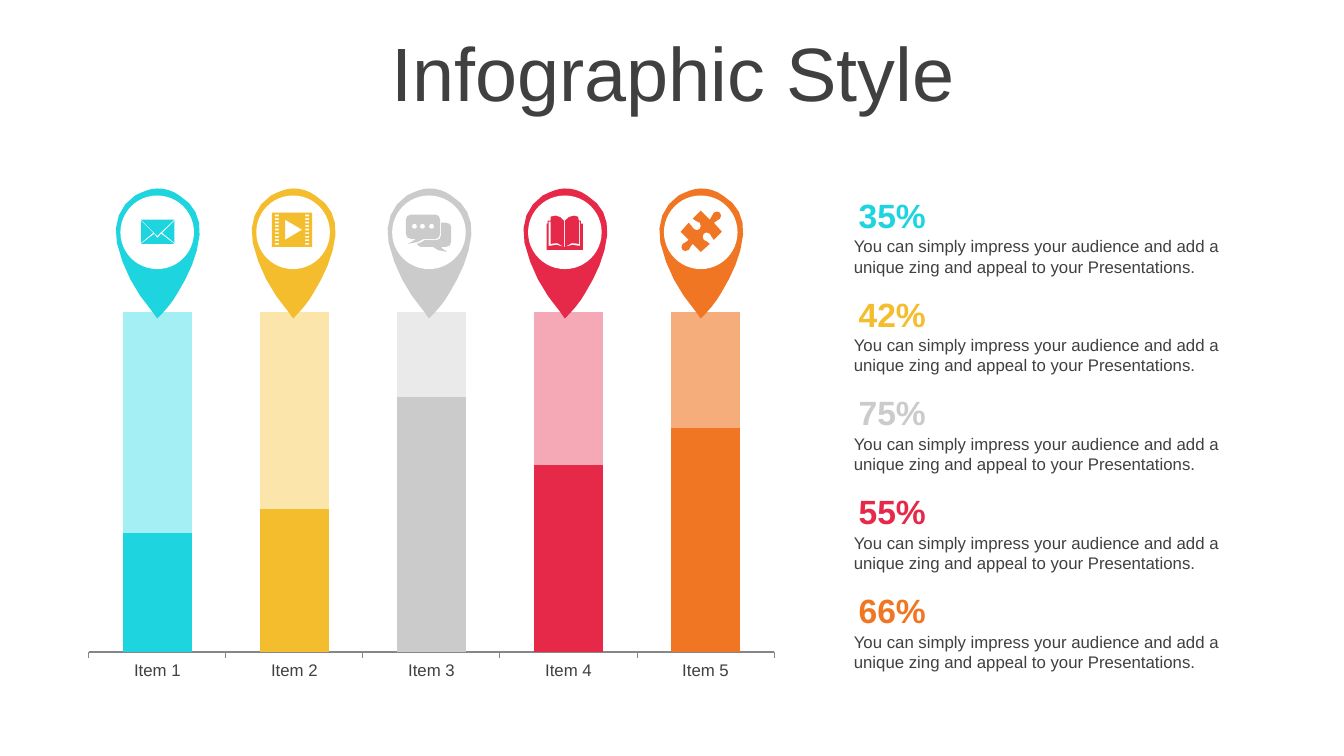
from dataclasses import dataclass
from typing import Iterator

from pptx import Presentation, util as u
from pptx.chart import data as chart_data
from pptx.dml import color
from pptx.enum import chart as charts, shapes, text
from pptx.slide import Slide

WIDTH, HEIGHT = u.Inches(13.33), u.Inches(7.5)
FONT = "Arial"
COLOURS = {
    "text": "404040", "axis": "868686", "white": "FFFFFF",
    "cyan": "1ED4DE", "cyan light": "A4EFF3",
    "yellow": "F4BD2D", "yellow light": "FBE5AB",
    "grey": "CBCBCB", "grey light": "EAEAEA",
    "red": "E62949", "red light": "F5A9B6",
    "orange": "F07624", "orange light": "F6AD7C",
}
DESCRIPTION = ("You can simply impress your audience and add a unique zing "
               "and appeal to your Presentations.")

# Outlines: hundredths of an inch, measured from the top centre of a pin
OUTLINE_UNIT = u.Inches(0.01)
FINENESS = 100  # freeform steps per outline unit
PIN_STEPS, ICON_STEPS = 4, 2  # straight pieces per curve
PIN = ("M 0 0 C 8 0 15 2 22 7 C 37 16 43 29 42 46 C 40 67 31 86 20 104 "
       "C 15 113 8 121 0 129 L -5 122 C -22 102 -34 80 -40 54 "
       "C -44 34 -37 17 -22 7 C -14 3 -7 0 0 0 Z")
ENVELOPE = ("M 4 45 L 17 55 L -16 55 L -3 45 L 0 49 Z M 17 32 L 17 54 L 5 44 Z "
            "M -16 32 L -4 44 L -16 54 Z M -16 31 L 17 31 L 0 47 Z")
BOOK = ("M -1 58 L 0 58 C 6 56 9 55 15 57 L 15 33 L 14 33 L 14 55 C 9 53 5 54 0 58 "
        "L 0 32 C 3 29 5 27 9 27 L 13 28 L 14 32 "
        "L 16 32 L 16 35 L 18 35 L 18 61 L -18 61 L -18 35 L -17 35 L -17 32 L -14 32 "
        "L -14 28 L -9 27 C -6 27 -3 29 -1 32 L -1 58 "
        "C -5 54 -10 53 -14 55 L -14 33 L -16 33 L -16 57 C -10 55 -6 56 -1 58 Z")
PUZZLE = ("M 19 24 C 20 26 21 28 19 30 C 17 33 15 31 13 34 L 21 43 L 13 51 "
          "C 10 49 11 46 9 45 C 7 43 4 43 3 45 C 2 46 1 49 3 51 C 6 53 6 52 9 55 "
          "L 0 63 L -8 55 C -11 57 -9 58 -12 61 C -14 63 -17 62 -18 61 "
          "C -19 60 -20 57 -18 55 C -16 53 -14 54 -12 51 L -20 43 L -12 34 "
          "C -8 36 -10 39 -7 40 C -5 42 -3 42 -1 40 C 0 39 1 36 -1 34 "
          "C -4 32 -5 33 -8 30 L 0 22 L 9 31 C 12 28 10 27 13 24 C 15 22 18 23 19 24 Z")
BUBBLES = ("M 12 34 L 17 34 C 20 34 22 36 22 38 L 22 53 C 22 56 20 58 17 58 L 12 58 "
           "C 13 59 13 60 18 63 C 9 62 8 61 4 58 L -8 58 C -9 58 -11 57 -12 55 "
           "C -9 54 -6 53 -4 51 L 8 51 C 10 51 12 49 12 46 Z "
           "M -18 26 L 7 26 C 9 26 11 28 11 31 L 11 45 C 11 48 9 50 7 50 L -5 50 "
           "C -10 53 -12 54 -21 55 C -16 52 -15 52 -13 50 L -18 50 "
           "C -21 50 -23 48 -23 45 L -23 31 C -23 28 -21 26 -18 26 Z")


def rectangle(left: float, top: float, right: float, bottom: float) -> str:
    return f"M {left} {top} L {right} {top} L {right} {bottom} L {left} {bottom} Z "


def dot(x: int) -> str:
    return (f"M {x} 35 C {x - 2} 35 {x - 3} 36 {x - 3} 38 C {x - 3} 39 {x - 2} 40 {x} 40 "
            f"C {x + 1} 40 {x + 2} 39 {x + 2} 38 C {x + 2} 36 {x + 1} 35 {x} 35 Z ")


CHAT = "".join(dot(x) for x in (3, -6, -14)) + BUBBLES
FILM = rectangle(-21, 24, 19, 58) + "M -8 31 L -8 51 L 9 41 Z " + "".join(
    rectangle(left, 26 + 3.5 * row, left + 4, 27.7 + 3.5 * row)
    for left in (-18, 12) for row in range(9))


@dataclass(frozen=True)
class Item:
    percent: int
    colour: str
    icon: str


ITEMS = [Item(35, "cyan", ENVELOPE), Item(42, "yellow", FILM), Item(75, "grey", CHAT),
         Item(55, "red", BOOK), Item(66, "orange", PUZZLE)]


@dataclass(frozen=True)
class Box:
    """A frame in percent of the slide's width and height."""
    left: float
    top: float
    width: float
    height: float

    def frame(self) -> tuple[int, int, int, int]:
        return (across(self.left), down(self.top), across(self.width), down(self.height))


def across(percent: float) -> int:
    return round(WIDTH * percent / 100)


def down(percent: float) -> int:
    return round(HEIGHT * percent / 100)


def rgb(name: str) -> color.RGBColor:
    return color.RGBColor.from_string(COLOURS[name])


def set_font(font, size: float, colour: str, bold: bool = False) -> None:
    font.name, font.size, font.bold = FONT, u.Pt(size), bold
    font.color.rgb = rgb(colour)


def paint(shape, colour: str) -> None:
    shape.shadow.inherit = False
    shape.fill.solid()
    shape.fill.fore_color.rgb = rgb(colour)
    shape.line.fill.background()


def contours(outline: str, steps: int) -> Iterator[list[tuple[float, float]]]:
    """Turn each closed contour into points, sampling its cubic curves."""
    for contour in outline.split("Z"):
        points: list[tuple[float, float]] = []
        for piece in contour.replace("C", "|").replace("L", "|").replace("M", "|").split("|"):
            numbers = [float(number) * FINENESS for number in piece.split()]
            pairs = list(zip(numbers[::2], numbers[1::2]))
            if len(pairs) == 3:
                knots = [points[-1], *pairs]
                for index in range(1, steps + 1):
                    t = index / steps
                    weights = ((1 - t) ** 3, 3 * t * (1 - t) ** 2, 3 * t * t * (1 - t), t ** 3)
                    points.append((sum(w * k[0] for w, k in zip(weights, knots)),
                                   sum(w * k[1] for w, k in zip(weights, knots))))
            else:
                points += pairs
        if points:
            yield points


def draw_outline(target, outline: str, steps: int, x: int, y: int, colour: str) -> None:
    first, *others = contours(outline, steps)
    builder = target.build_freeform(*first[0], scale=OUTLINE_UNIT / FINENESS)
    builder.add_line_segments(first[1:], close=True)
    for points in others:
        builder.move_to(*points[0])
        builder.add_line_segments(points[1:], close=True)
    paint(builder.convert_to_shape(x, y), colour)


def draw_pin(slide: Slide, item: Item, x: int, y: int) -> None:
    group = slide.shapes.add_group_shape().shapes
    draw_outline(group, PIN, PIN_STEPS, x, y, item.colour)
    diameter = 73 * OUTLINE_UNIT
    disc = group.add_shape(shapes.MSO_SHAPE.OVAL, x - diameter // 2, y + 7 * OUTLINE_UNIT,
                           diameter, diameter)
    paint(disc, "white")
    draw_outline(group, item.icon, ICON_STEPS, x, y, item.colour)


def draw_text(slide: Slide, box: Box, words: str, size: float, colour: str,
              heading: bool = False) -> None:
    frame = slide.shapes.add_textbox(*box.frame()).text_frame
    frame.word_wrap = True
    paragraph = frame.paragraphs[0]
    paragraph.text = words
    set_font(paragraph.font, size, colour, heading)
    if heading:
        frame.auto_size = text.MSO_AUTO_SIZE.SHAPE_TO_FIT_TEXT
        frame.vertical_anchor = text.MSO_ANCHOR.MIDDLE
        paragraph.alignment = text.PP_ALIGN.CENTER


def draw_title(slide: Slide) -> None:
    title = slide.shapes.title
    title.left, title.top, title.width, title.height = Box(2.6, 4.93, 94.97, 10.53).frame()
    title.text_frame.vertical_anchor = text.MSO_ANCHOR.MIDDLE
    paragraph = title.text_frame.paragraphs[0]
    paragraph.text = "Infographic Style"
    paragraph.alignment, paragraph.line_spacing = text.PP_ALIGN.CENTER, 0.9
    set_font(paragraph.font, 54, "text")


def draw_chart(slide: Slide) -> None:
    data = chart_data.CategoryChartData()
    data.categories = [f"Item {number}" for number in range(1, len(ITEMS) + 1)]
    data.add_series("Series 1", [item.percent for item in ITEMS])
    data.add_series("Series 2", [100 - item.percent for item in ITEMS])
    chart = slide.shapes.add_chart(charts.XL_CHART_TYPE.COLUMN_STACKED_100,
                                   *Box(5.55, 40.27, 53.11, 50.67).frame(), data).chart
    set_font(chart.font, 18, "text")
    chart.has_legend = chart.has_title = False
    chart.value_axis.visible = chart.value_axis.has_major_gridlines = False
    axis = chart.category_axis
    axis.major_tick_mark = charts.XL_TICK_MARK.OUTSIDE
    axis.format.line.color.rgb = rgb("axis")
    set_font(axis.tick_labels.font, 12, "text")
    plot = chart.plots[0]
    plot.gap_width, plot.overlap, plot.vary_by_categories = 100, 100, False
    for series, shade in zip(plot.series, ("", " light")):
        for index, item in enumerate(ITEMS):
            fill = series.points[index].format.fill
            fill.solid()
            fill.fore_color.rgb = rgb(item.colour + shade)


def main() -> None:
    presentation = Presentation()
    presentation.slide_width, presentation.slide_height = WIDTH, HEIGHT
    slide = presentation.slides.add_slide(presentation.slide_layouts[5])
    draw_title(slide)
    draw_chart(slide)
    # One pin above each column and one statistic per row
    for index, item in enumerate(ITEMS):
        draw_pin(slide, item, across(11.7 + 10.11 * index), down(24.93))
        top = 25.07 + 13.07 * index
        draw_text(slide, Box(62.79, top, 7.2, 6.67), f"{item.percent}%", 24, item.colour, True)
        draw_text(slide, Box(62.79, top + 5.5, 31.73, 6.8), DESCRIPTION, 12, "text")
    presentation.save("out.pptx")


if __name__ == "__main__":
    main()
